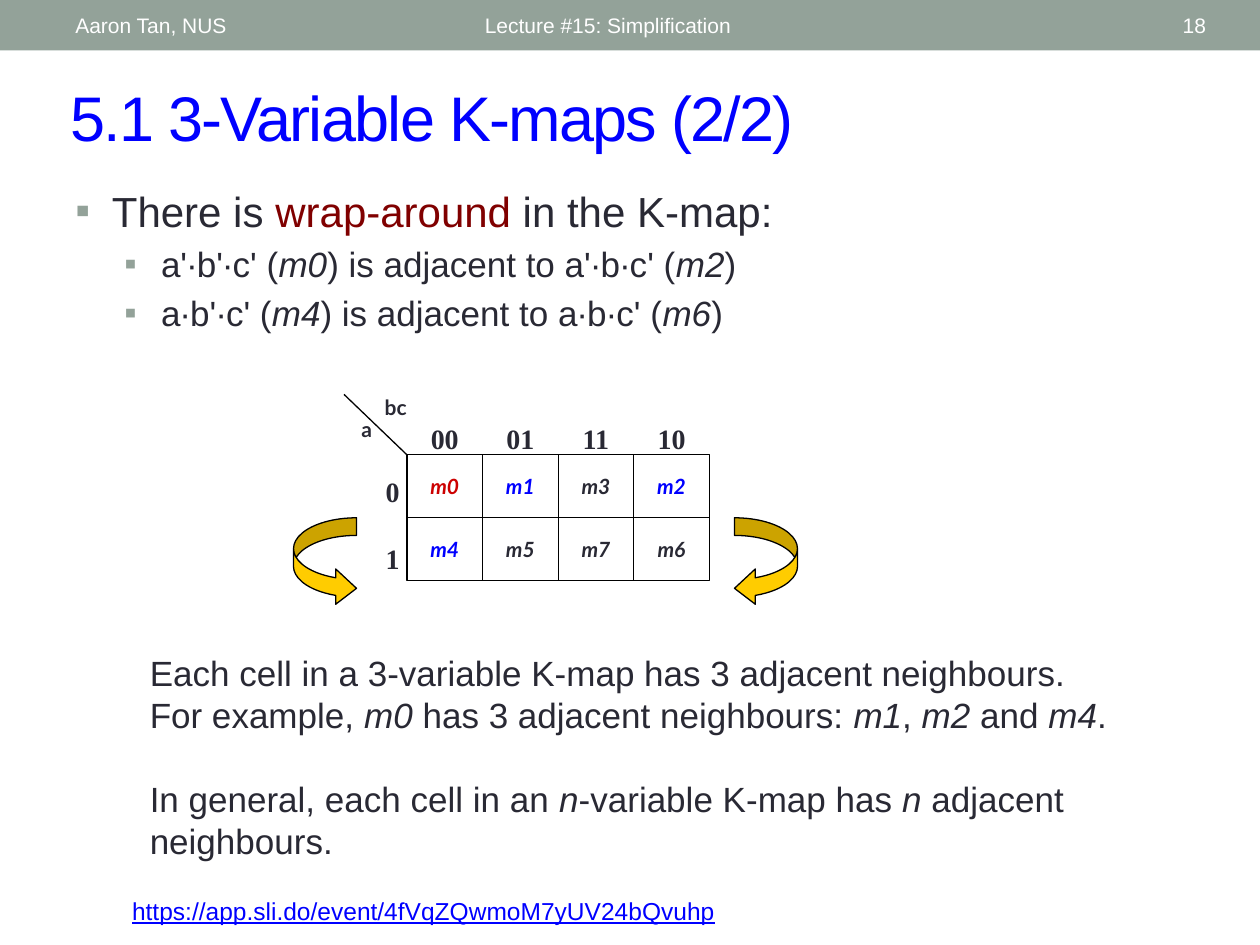
from dataclasses import dataclass

from lxml import etree
from pptx import Presentation
from pptx import util as u
from pptx.dml.color import RGBColor
from pptx.enum import shapes, text
from pptx.oxml import ns

LEFT, CENTER, RIGHT = text.PP_ALIGN.LEFT, text.PP_ALIGN.CENTER, text.PP_ALIGN.RIGHT
TOP, RIGHT_SIDE, BOTTOM, LEFT_SIDE = 0, 3, 2, 1


@dataclass(frozen=True)
class Theme:
    band: str = "93A299"
    ink: str = "292934"
    blue: str = "0000FF"
    red: str = "CC0000"
    maroon: str = "800000"
    gold: str = "FFCC00"
    black: str = "000000"
    white: str = "FFFFFF"
    body_font: str = "Arial"
    cell_font: str = "Lato"
    axis_font: str = "Times New Roman"
    title: int = 36
    lead: int = 24
    body: int = 20
    axis: int = 16
    link: int = 14
    small: int = 12
    rule: float = 0.75


class SlideBuilder:
    def __init__(self, slide, theme):
        self.slide = slide
        self.theme = theme

    def add_runs(self, paragraph, marked, size, color=None, font=None, bold=None, accent=None):
        """Fill a paragraph; parts between asterisks are italic, or in the accent colour."""
        for number, part in enumerate(marked.split("*")):
            if not part:
                continue
            marked_part = number % 2 == 1
            run = paragraph.add_run()
            run.text = part
            run.font.name = font or self.theme.body_font
            run.font.size = u.Pt(size)
            run.font.bold = bold
            run.font.italic = True if marked_part and not accent else None
            shade = accent if marked_part and accent else color or self.theme.ink
            run.font.color.rgb = RGBColor.from_string(shade)

    def box(self, left, top, width, height, anchor=text.MSO_ANCHOR.TOP):
        frame = self.slide.shapes.add_textbox(
            u.Inches(left), u.Inches(top), u.Inches(width), u.Inches(height)).text_frame
        frame.word_wrap = True
        frame.vertical_anchor = anchor
        return frame

    def label(self, place, marked, size, align=LEFT, anchor=text.MSO_ANCHOR.TOP, **style):
        paragraph = self.box(*place, anchor).paragraphs[0]
        paragraph.alignment = align
        self.add_runs(paragraph, marked, size, **style)
        return paragraph

    def bullet(self, paragraph, level, indent):
        paragraph.level = level
        props = paragraph._p.get_or_add_pPr()
        props.set("marL", str(u.Inches(indent)))
        props.set("indent", str(-u.Inches(0.29)))
        color = etree.SubElement(props, ns.qn("a:buClr"))
        etree.SubElement(color, ns.qn("a:srgbClr"), val=self.theme.band)
        etree.SubElement(props, ns.qn("a:buFont"), typeface=self.theme.body_font)
        etree.SubElement(props, ns.qn("a:buChar"), char="▪")

    def shape(self, kind, left, top, width, height, fill=None, outlined=True):
        shape = self.slide.shapes.add_shape(
            kind, u.Inches(left), u.Inches(top), u.Inches(width), u.Inches(height))
        shape.shadow.inherit = False
        if fill:
            shape.fill.solid()
            shape.fill.fore_color.rgb = RGBColor.from_string(fill)
        else:
            shape.fill.background()
        if outlined:
            self.outline(shape.line)
        else:
            shape.line.fill.background()
        return shape

    def outline(self, line):
        line.color.rgb = RGBColor.from_string(self.theme.black)
        line.width = u.Pt(self.theme.rule)

    def line(self, x1, y1, x2, y2):
        line = self.slide.shapes.add_connector(
            shapes.MSO_CONNECTOR.STRAIGHT,
            u.Inches(x1), u.Inches(y1), u.Inches(x2), u.Inches(y2))
        self.outline(line.line)
        etree.SubElement(line._element.spPr, ns.qn("a:effectLst"))
        return line

    def wrap_arrow(self, left, top, mirrored=False):
        arrow = self.shape(shapes.MSO_SHAPE.CURVED_RIGHT_ARROW, left, top, 0.5, 0.7,
                           self.theme.gold)
        for index, value in enumerate((0.28, 0.56, 0.33)):
            arrow.adjustments[index] = value
        if mirrored:
            arrow._element.spPr.xfrm.set("flipH", "1")


def main():
    deck = Presentation()
    deck.slide_width, deck.slide_height = u.Inches(10), u.Inches(7.5)
    theme = Theme()
    page = SlideBuilder(deck.slides.add_slide(deck.slide_layouts[6]), theme)
    middle = text.MSO_ANCHOR.MIDDLE

    # Header band
    page.shape(shapes.MSO_SHAPE.RECTANGLE, 0, 0, 10, 0.4, theme.band, outlined=False)
    for left, width, wording, align in (
            (0.5, 3.17, "Aaron Tan, NUS", LEFT),
            (3.75, 4.5, "Lecture #15: Simplification", LEFT),
            (8.72, 0.95, "18", RIGHT)):
        page.label((left, 0.02, width, 0.36), wording, theme.small, align, middle,
                   color=theme.white)

    # Title
    title = page.label((0.46, 0.57, 9.07, 0.7), "5.1 3-Variable K-maps (2/2)",
                       theme.title, anchor=middle, color=theme.blue)
    title.runs[0]._r.get_or_add_rPr().set("spc", "-100")

    # Wrap-around bullets
    points = page.box(0.5, 1.42, 9, 1.53)
    lead = points.paragraphs[0]
    page.bullet(lead, 0, 0.29)
    page.add_runs(lead, "There is *wrap-around* in the K-map:", theme.lead, accent=theme.maroon)
    for wording in ("a'∙b'∙c' (*m0*) is adjacent to a'∙b∙c' (*m2*)",
                    "a∙b'∙c' (*m4*) is adjacent to a∙b∙c' (*m6*)"):
        point = points.add_paragraph()
        page.bullet(point, 1, 0.68)
        point.space_before = u.Pt(theme.body * 0.2)
        page.add_runs(point, wording, theme.body)

    # K-map grid
    map_left, map_top, cell_w, cell_h = 3.23, 3.61, 0.6, 0.5
    map_right, map_bottom = map_left + 4 * cell_w, map_top + 2 * cell_h
    grid = page.shape(shapes.MSO_SHAPE.RECTANGLE, map_left, map_top, 4 * cell_w, 2 * cell_h)
    row_rule = page.line(map_left, map_top + cell_h, map_right, map_top + cell_h)
    row_rule.begin_connect(grid, LEFT_SIDE)
    row_rule.end_connect(grid, RIGHT_SIDE)
    for column in (1, 2, 3):
        x = map_left + column * cell_w
        column_rule = page.line(x, map_top, x, map_bottom)
        if column == 2:
            column_rule.begin_connect(grid, TOP)
            column_rule.end_connect(grid, BOTTOM)

    # Minterms
    minterm_colors = {"m0": theme.red, "m1": theme.blue, "m2": theme.blue, "m4": theme.blue}
    for row, minterms in enumerate((("m0", "m1", "m3", "m2"), ("m4", "m5", "m7", "m6"))):
        for column, minterm in enumerate(minterms):
            place = (map_left + column * cell_w, map_top + row * cell_h + 0.1, cell_w, 0.4)
            page.label(place, f"*{minterm}*", theme.small, CENTER, font=theme.cell_font,
                       bold=True, color=minterm_colors.get(minterm))

    # Axis values and variable names
    for column, value in enumerate(("00", "01", "11", "10")):
        page.label((map_left + column * cell_w, 3.3, cell_w, 0.4), value, theme.axis, CENTER,
                   font=theme.axis_font, bold=True)
    for row, value in enumerate("01"):
        page.label((2.93, 3.72 + row * 0.53, 0.34, 0.4), value, theme.axis, RIGHT,
                   font=theme.axis_font, bold=True)
    page.line(map_left, map_top, 2.73, 3.13)
    for place, variable in (((2.69, 3.26, 0.44, 0.4), "a"), ((2.88, 3.08, 0.52, 0.32), "bc")):
        page.label(place, variable, theme.small, CENTER, font=theme.cell_font, bold=True)

    # Wrap-around arrows
    page.wrap_arrow(2.33, 4.11)
    page.wrap_arrow(5.83, 4.11, mirrored=True)

    # Neighbour rule
    rule = page.box(1.09, 5.12, 7.88, 1.73)
    page.add_runs(rule.paragraphs[0],
                  "Each cell in a 3-variable K-map has 3 adjacent neighbours. For example, *m0* "
                  "has 3 adjacent neighbours: *m1*, *m2* and *m4*.", theme.body)
    general = rule.add_paragraph()
    general.space_before = u.Pt(24)
    page.add_runs(general, "In general, each cell in an *n*-variable K-map has *n* adjacent "
                  "neighbours.", theme.body)

    # Event address
    address = page.label((0.95, 7.06, 6.5, 0.34),
                         "https://app.sli.do/event/4fVqZQwmoM7yUV24bQvuhp",
                         theme.link, color=theme.blue)
    address.runs[0].font.underline = True

    deck.save("out.pptx")


if __name__ == "__main__":
    main()
